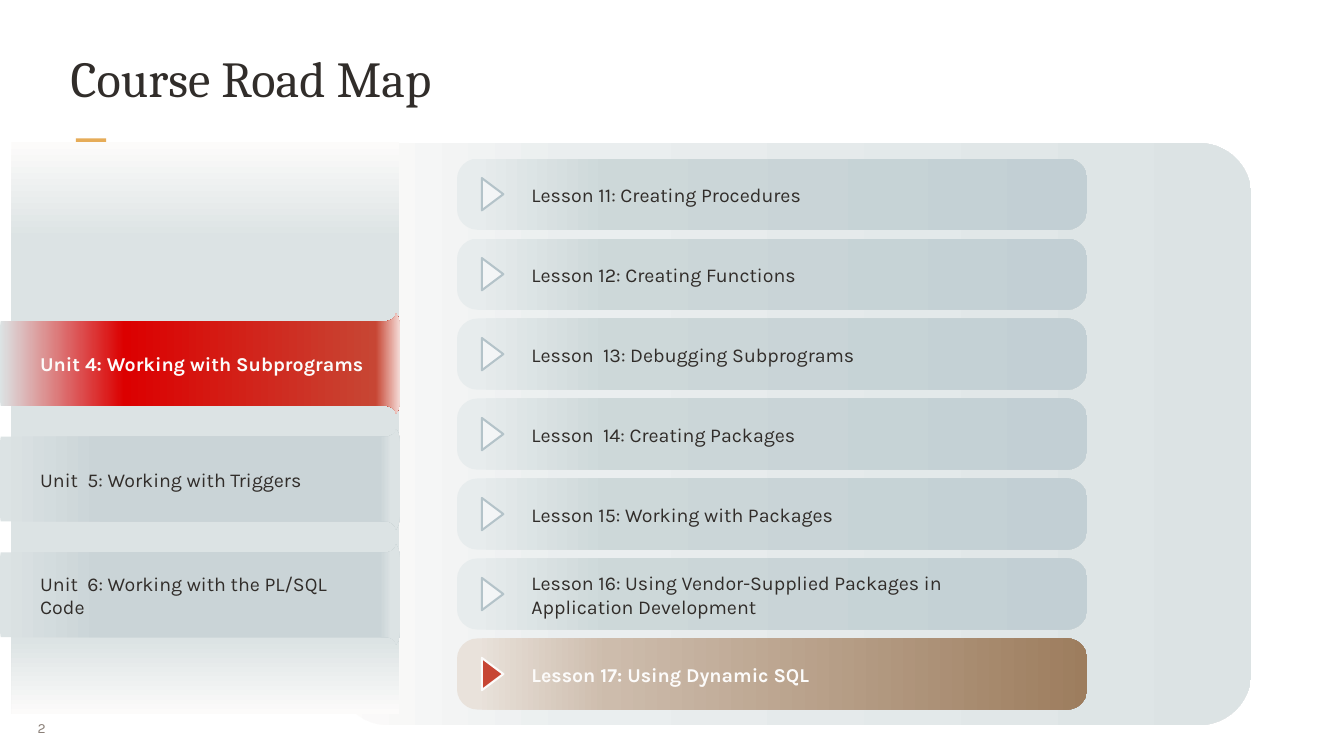
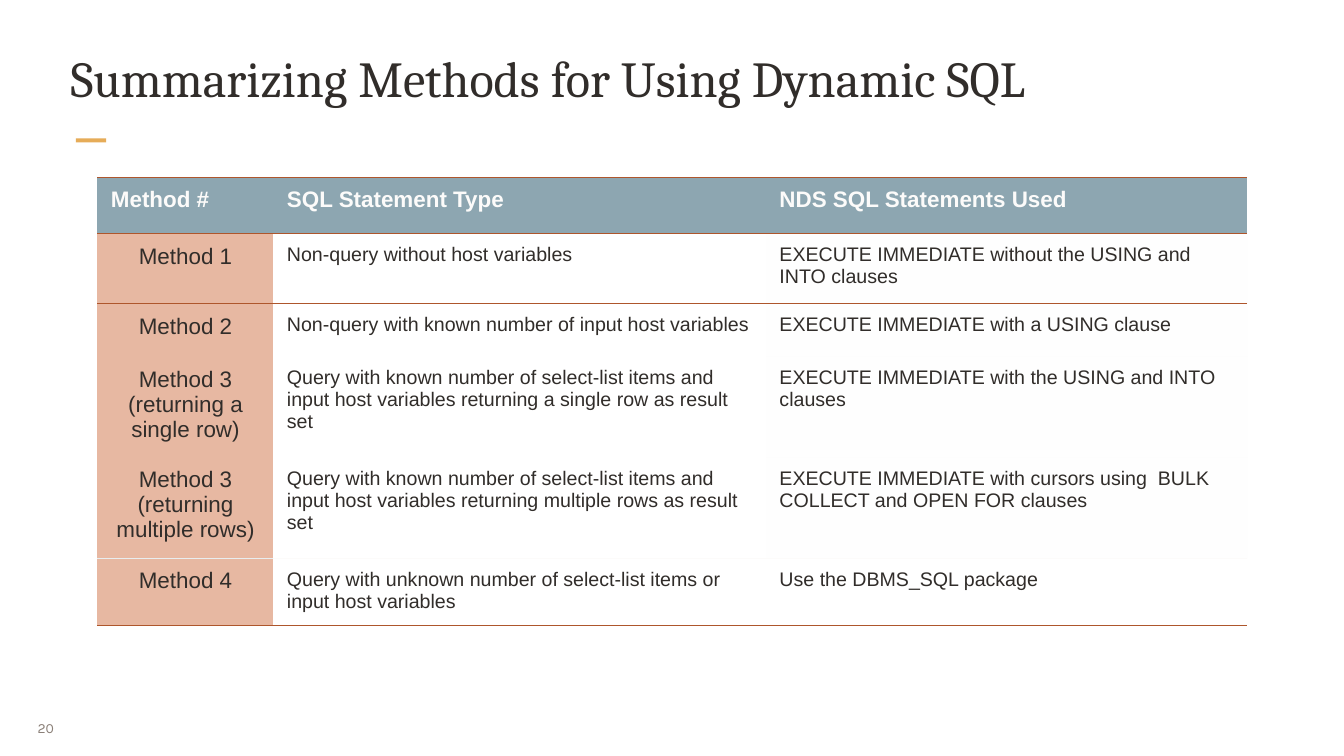
from dataclasses import dataclass
from typing import NamedTuple

from lxml.etree import SubElement
from pptx import Presentation
from pptx.dml.color import RGBColor
from pptx.enum.shapes import MSO_SHAPE as Preset
from pptx.enum.text import MSO_ANCHOR as Anchor, MSO_AUTO_SIZE as AutoSize, PP_ALIGN as Align
from pptx.oxml import parse_xml
from pptx.oxml.ns import nsdecls, qn
from pptx.util import Pt

PX = 9144
SLIDE_WIDTH, SLIDE_HEIGHT = 2000, 1125

INK = RGBColor(0x31, 0x2D, 0x2A)
PAPER = RGBColor(0xFC, 0xFB, 0xFA)
AMBER = RGBColor(0xE6, 0xAC, 0x58)
TAUPE = RGBColor(0x8B, 0x80, 0x78)
BRICK = RGBColor(0xC7, 0x46, 0x34)
DARK_BRICK = RGBColor(0x95, 0x34, 0x27)
RED = RGBColor(0xDC, 0x00, 0x00)
BLUSH = RGBColor(0xF4, 0xDA, 0xD6)
MIST = RGBColor(0xDC, 0xE3, 0xE4)
LIGHT_MIST = RGBColor(0xEA, 0xEE, 0xEF)
CARD_MIST = RGBColor(0xDE, 0xE4, 0xE5)
CARD_GREY = RGBColor(0x96, 0xA2, 0xA7)
TAB_GREY = RGBColor(0xCA, 0xD4, 0xD7)
BAR_PALE = RGBColor(0xE7, 0xEC, 0xED)
BAR_MIDDLE = RGBColor(0xCD, 0xD8, 0xD9)
BAR_DEEP = RGBColor(0xC2, 0xCF, 0xD4)
SAND_PALE = RGBColor(0xE9, 0xE2, 0xDB)
SAND_MIDDLE = RGBColor(0xCD, 0xBC, 0xAC)
SAND_DEEP = RGBColor(0x9D, 0x7D, 0x5E)
ARROW_FILL = RGBColor(0xF3, 0xF5, 0xF6)
ARROW_LINE = RGBColor(0xB4, 0xC3, 0xC9)
HEADER_BLUE = RGBColor(0x8D, 0xA6, 0xB1)
PEACH = RGBColor(0xE7, 0xB8, 0xA2)
RUST = RGBColor(0xAE, 0x56, 0x2C)
PALE_RULE = RGBColor(0xE8, 0xED, 0xEF)

TITLE_FONT, BODY_FONT, TABLE_FONT = "Cambria", "Karla", "Arial"
NO_TABLE_STYLE = "{2D5ABB26-0587-4C30-8999-92F81FD0307C}"


class Box(NamedTuple):
    left: int
    top: int
    width: int
    height: int

    def emu(self) -> list[int]:
        return [length * PX for length in self]


class Stop(NamedTuple):
    percent: int
    color: RGBColor


@dataclass(frozen=True)
class Entry:
    text: str
    lines: int = 1
    active: bool = False

    @property
    def label_height(self) -> int:
        return 9 + 36 * self.lines

    @property
    def color(self) -> RGBColor:
        return PAPER if self.active else INK


PANEL_GRADIENT = [Stop(0, PAPER), Stop(26, LIGHT_MIST), Stop(100, MIST)]
COLUMN_GRADIENT = [Stop(0, PAPER), Stop(17, MIST), Stop(87, MIST), Stop(100, PAPER)]
CARD_GRADIENT = [Stop(77, CARD_MIST), Stop(99, CARD_GREY)]
ACTIVE_CARD_GRADIENT = [Stop(73, BRICK), Stop(92, DARK_BRICK)]
TAB_GRADIENT = [Stop(0, MIST), Stop(25, TAB_GREY), Stop(95, TAB_GREY), Stop(98, MIST)]
ACTIVE_TAB_GRADIENT = [Stop(0, MIST), Stop(31, RED), Stop(94, BRICK), Stop(100, BLUSH)]
BAR_GRADIENT = [Stop(3, BAR_PALE), Stop(24, BAR_MIDDLE), Stop(100, BAR_DEEP)]
ACTIVE_BAR_GRADIENT = [Stop(3, SAND_PALE), Stop(24, SAND_MIDDLE), Stop(100, SAND_DEEP)]

UNITS = [
    Entry("Unit 4: Working with Subprograms", active=True),
    Entry("Unit  5: Working with Triggers"),
    Entry("Unit  6: Working with the PL/SQL Code", lines=2),
]
UNIT_PITCH = 172
CARD_TOP = 289
TAB_TOP, TAB_HEIGHT = 466, 150
TAB_UPPER_EDGE = [
    (0, 20), (1, 12), (576, 12), (580, 11), (584, 9), (588, 5),
    (589, 0), (593, 7), (594, 12), (595, 20),
]

LESSONS = [
    Entry("Lesson 11: Creating Procedures"),
    Entry("Lesson 12: Creating Functions"),
    Entry("Lesson  13: Debugging Subprograms"),
    Entry("Lesson  14: Creating Packages"),
    Entry("Lesson 15: Working with Packages"),
    Entry("Lesson 16: Using Vendor-Supplied Packages in Application Development", lines=2),
    Entry("Lesson 17: Using Dynamic SQL", active=True),
]
LESSON_TOP, LESSON_PITCH, LESSON_HEIGHT = 236, 119, 106

METHODS = [
    ("Method #", "SQL Statement Type", "NDS SQL Statements Used"),
    ("Method 1", "Non-query without host variables",
     "EXECUTE IMMEDIATE without the USING and INTO clauses"),
    ("Method 2", "Non-query with known number of input host variables",
     "EXECUTE IMMEDIATE with a USING clause"),
    ("Method 3 (returning a single row)",
     "Query with known number of select-list items and input host variables "
     "returning a single row as result set",
     "EXECUTE IMMEDIATE with the USING and INTO clauses"),
    ("Method 3 (returning multiple rows)",
     "Query with known number of select-list items and input host variables "
     "returning multiple rows as result set",
     "EXECUTE IMMEDIATE with cursors using  BULK COLLECT and OPEN FOR clauses"),
    ("Method 4",
     "Query with unknown number of select-list items or input host variables",
     "Use the DBMS_SQL package"),
]
METHOD_COLUMNS = [262, 733, 716]
METHOD_ROWS = [84, 104, 79, 150, 150, 100]
LAST_ROW = len(METHODS) - 1


def write_text(frame, text: str, *, size: int, font: str, color: RGBColor = INK,
               bold: bool = False, align: Align = Align.LEFT) -> None:
    paragraph = frame.paragraphs[0]
    paragraph.alignment = align
    run = paragraph.add_run()
    run.text = text
    run.font.size = Pt(size)
    run.font.name = font
    run.font.bold = bold
    run.font.color.rgb = color


def add_text(slide, box: Box, text: str, *, anchor: Anchor = Anchor.MIDDLE, wrap: bool = True,
             insets: tuple[int, int] = (10, 5), grow: bool = False, **text_format) -> None:
    frame = slide.shapes.add_textbox(*box.emu()).text_frame
    frame.word_wrap = wrap
    frame.auto_size = AutoSize.SHAPE_TO_FIT_TEXT if grow else AutoSize.NONE
    frame.vertical_anchor = anchor
    frame.margin_left = frame.margin_right = insets[0] * PX
    frame.margin_top = frame.margin_bottom = insets[1] * PX
    write_text(frame, text, **text_format)


def add_label(slide, entry: Entry, left: int, middle: int, width: int) -> None:
    height = entry.label_height
    add_text(slide, Box(left, middle - height // 2, width, height), entry.text, grow=True,
             size=21, font=BODY_FONT, color=entry.color, bold=entry.active)


def paint(shape, fill: RGBColor | list[Stop], angle: int = 0) -> None:
    shape.shadow.inherit = False
    shape.line.fill.background()
    if isinstance(fill, RGBColor):
        shape.fill.solid()
        shape.fill.fore_color.rgb = fill
        return
    shape.fill.gradient()
    shape.fill.gradient_angle = -angle % 360
    stops = shape.element.spPr.find(qn("a:gradFill")).find(qn("a:gsLst"))
    for stop in list(stops):
        stops.remove(stop)
    for percent, color in fill:
        stop = SubElement(stops, qn("a:gs"), pos=str(percent * 1000))
        SubElement(stop, qn("a:srgbClr"), val=str(color))


def add_preset(slide, preset: Preset, box: Box, fill: RGBColor | list[Stop],
               corner: float | None = None, angle: int = 0):
    shape = slide.shapes.add_shape(preset, *box.emu())
    if corner is not None:
        shape.adjustments[0] = corner
    paint(shape, fill, angle)
    return shape


def add_slide(presentation, title: str, number: int):
    slide = presentation.slides.add_slide(presentation.slide_layouts[6])
    add_preset(slide, Preset.RECTANGLE, Box(113, 206, 45, 6), AMBER)
    add_text(slide, Box(43, 1054, 65, 58), str(number), wrap=False, insets=(13, 7),
             size=15, font=BODY_FONT, color=TAUPE, align=Align.JUSTIFY)
    add_text(slide, Box(102, 67, 1796, 128), title, anchor=Anchor.TOP, insets=(3, 3),
             size=54, font=TITLE_FONT)
    return slide


def add_unit_tab(slide, unit: Entry, top: int) -> None:
    lower_edge = [(x, TAB_HEIGHT - y) for x, y in reversed(TAB_UPPER_EDGE)]
    points = [(x, top + y) for x, y in TAB_UPPER_EDGE + lower_edge]
    builder = slide.shapes.build_freeform(*points[0], scale=PX)
    builder.add_line_segments(points[1:], close=True)
    paint(builder.convert_to_shape(), ACTIVE_TAB_GRADIENT if unit.active else TAB_GRADIENT)


def add_lesson(slide, lesson: Entry, top: int) -> None:
    middle = top + LESSON_HEIGHT // 2
    add_preset(slide, Preset.ROUNDED_RECTANGLE, Box(680, top, 938, LESSON_HEIGHT),
               ACTIVE_BAR_GRADIENT if lesson.active else BAR_GRADIENT, corner=0.29)
    add_label(slide, lesson, 781, middle, 737)
    arrow = add_preset(slide, Preset.ISOSCELES_TRIANGLE, Box(709, middle - 16, 48, 32),
                       BRICK if lesson.active else ARROW_FILL)
    arrow.rotation = 90
    arrow.line.color.rgb = PAPER if lesson.active else ARROW_LINE
    arrow.line.width = Pt(2.25)


def build_road_map(presentation) -> None:
    slide = add_slide(presentation, "Course Road Map", 2)
    add_preset(slide, Preset.ROUNDED_RECTANGLE, Box(500, 213, 1362, 866), PANEL_GRADIENT,
               corner=0.09)
    for position in (1, 0, 2, 3):
        add_preset(slide, Preset.ROUNDED_RECTANGLE,
                   Box(436, CARD_TOP + position * UNIT_PITCH, 158, 161),
                   ACTIVE_CARD_GRADIENT if position == 1 else CARD_GRADIENT, corner=0.13)
    add_preset(slide, Preset.RECTANGLE, Box(17, 212, 577, 850), COLUMN_GRADIENT, angle=90)
    tab_tops = [TAB_TOP + index * UNIT_PITCH for index in range(len(UNITS))]
    for unit, top in zip(UNITS, tab_tops):
        add_unit_tab(slide, unit, top)
    for unit, top in zip(UNITS, tab_tops):
        add_label(slide, unit, 50, top + TAB_HEIGHT // 2, 525 if unit.active else 508)
    for index, lesson in enumerate(LESSONS):
        add_lesson(slide, lesson, LESSON_TOP + index * LESSON_PITCH)


def rule_color(edge: int, column: int) -> RGBColor | None:
    if edge in (0, 1, LAST_ROW + 1):
        return RUST
    if edge == LAST_ROW:
        return PAPER if column else PALE_RULE
    return None


def fill_cell(cell, row: int, column: int) -> None:
    if row == 0 or column == 0:
        cell.fill.solid()
        cell.fill.fore_color.rgb = PEACH if row else HEADER_BLUE
    elif column == 2 and row < LAST_ROW:
        cell.fill.solid()
        cell.fill.fore_color.rgb = PAPER
        color = next(cell._tc.tcPr.iter(qn("a:srgbClr")))
        SubElement(color, qn("a:alpha"), val="20000")
    else:
        cell.fill.background()


def rule_cell(cell, row: int, column: int) -> None:
    for tag, edge in (("lnB", row + 1), ("lnT", row)):
        color = rule_color(edge, column)
        if color is not None:
            cell._tc.get_or_add_tcPr().insert(0, parse_xml(
                f'<a:{tag} {nsdecls("a")} w="12700"><a:solidFill>'
                f'<a:srgbClr val="{color}"/></a:solidFill></a:{tag}>'))


def build_methods(presentation) -> None:
    slide = add_slide(presentation, "Summarizing Methods for Using Dynamic SQL", 20)
    box = Box(145, 264, sum(METHOD_COLUMNS), sum(METHOD_ROWS))
    table = slide.shapes.add_table(len(METHOD_ROWS), len(METHOD_COLUMNS), *box.emu()).table
    table.horz_banding = False
    table._tbl.tblPr.find(qn("a:tableStyleId")).text = NO_TABLE_STYLE
    for column, width in zip(table.columns, METHOD_COLUMNS):
        column.width = width * PX
    for row, height in zip(table.rows, METHOD_ROWS):
        row.height = height * PX
    for row, texts in enumerate(METHODS):
        for column, text in enumerate(texts):
            cell = table.cell(row, column)
            cell.margin_left = cell.margin_right = 20 * PX
            cell.margin_top = cell.margin_bottom = 15 * PX
            fill_cell(cell, row, column)
            rule_cell(cell, row, column)
            write_text(cell.text_frame, text, font=TABLE_FONT, bold=row == 0,
                       size=24 if row == 0 or column == 0 else 21,
                       color=INK if row else PAPER,
                       align=Align.CENTER if row and column == 0 else Align.LEFT)


def main() -> None:
    presentation = Presentation()
    presentation.slide_width = SLIDE_WIDTH * PX
    presentation.slide_height = SLIDE_HEIGHT * PX
    build_road_map(presentation)
    build_methods(presentation)
    presentation.save("out.pptx")


if __name__ == "__main__":
    main()
